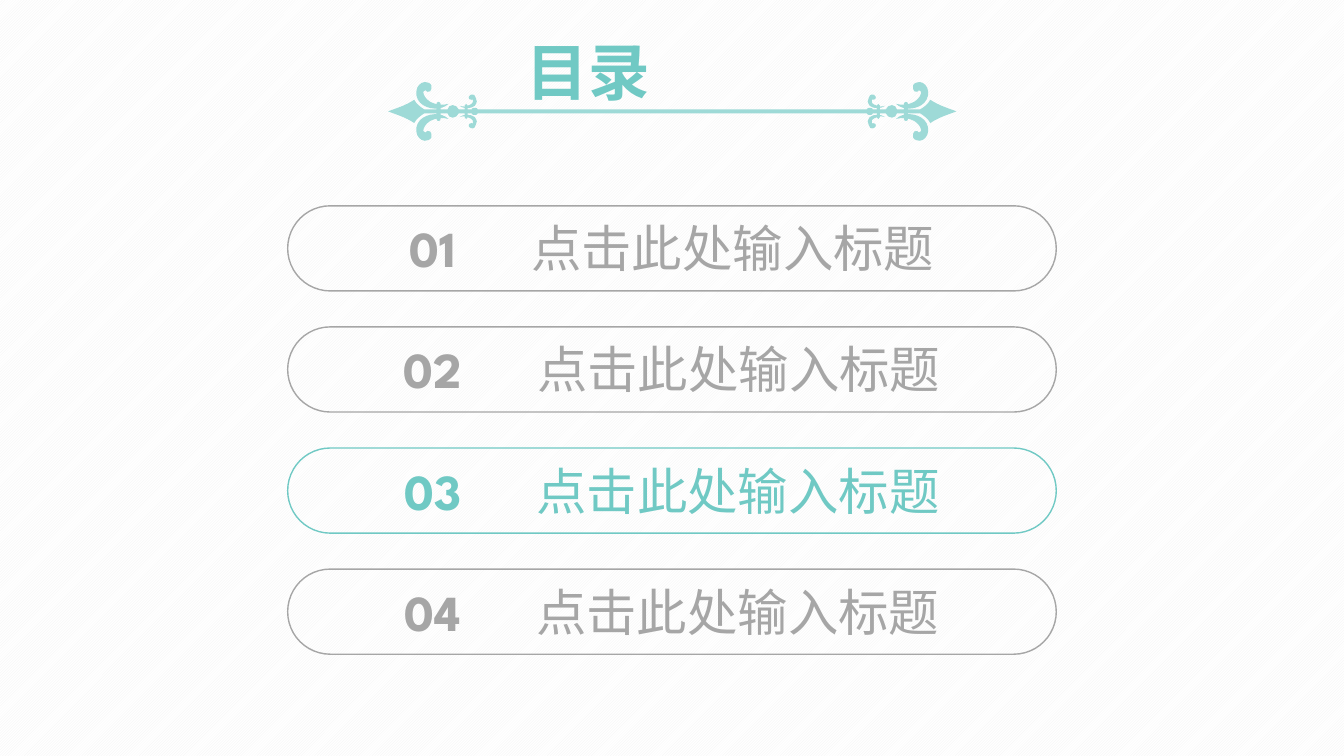
from lxml import etree
from pptx import Presentation
from pptx import util as u
from pptx.dml.color import RGBColor
from pptx.enum import dml, shapes, text
from pptx.oxml import ns

TEAL = RGBColor(0x70, 0xC9, 0xC4)
PALE_TEAL = RGBColor(0x9E, 0xDA, 0xD7)
GREY = RGBColor(0xA6, 0xA6, 0xA6)
STRIPE = RGBColor(0xF2, 0xF2, 0xF2)
WHITE = RGBColor(0xFF, 0xFF, 0xFF)

BODY_FONT = "Calibri"
NUMBER_FONT = "League Spartan"
ACTIVE_ROW = 2
ROWS = [(f"{number:02}", "点击此处输入标题") for number in range(1, 5)]

LARGE_CURL = [
    (28.1, 14), (27.4, 15.5), (25.9, 15.5), (25.2, 14),
    (25.2, 11.9), (26.6, 9), (30.2, 6.8),
    (34.6, 4.7), (38.2, 4), (43.2, 5.4),
    (38.2, 0.4), (28.1, 1.1), (23, 6.1),
    (20.2, 9), (19.4, 13.3), (20.9, 16.9),
    (22.3, 19.8), (25.2, 22), (28.8, 20.5),
    (31, 19.8), (31.7, 17.6), (31, 16.2),
    (31, 14.8), (29.5, 13.3), (28.1, 14),
]
SMALL_CURL = [
    (59.8, 8.3), (59.8, 9), (60.5, 9), (60.5, 8.3),
    (61.2, 7.6), (60.5, 5.4), (58.3, 4.7),
    (56.2, 3.2), (54, 3.2), (51.1, 4),
    (54, 1.8), (59, 1.8), (61.9, 4),
    (63.4, 6.1), (64.1, 8.3), (62.6, 9.7),
    (62.6, 11.2), (61.2, 12.6), (59, 11.9),
    (57.6, 11.2), (57.6, 10.4), (57.6, 9.7),
    (57.6, 9), (58.3, 8.3), (59.8, 8.3),
]
SPINDLE = [
    (0, 0), (6.5, 2.5), (12.2, 4), (18.7, 8.3),
    (20.2, 5.4), (23, 3.2), (25.9, 1.4),
    (29.5, 1.4), (38.2, 1.4), (42.5, 1.4),
    (42.5, 3.2), (44.6, 4.5), (46.1, 4.5),
    (48.2, 4.5), (49.7, 3.2), (50.4, 1.4),
    (53.3, 1.4), (56.9, 1.4), (59.8, 1.4),
    (59.8, 2.5), (60.5, 2.5), (61.9, 2.5),
    (62.6, 2.5), (64.1, 2.5), (64.1, 1.4),
]
BARS = [(34.6, 37.5, 5.4, 7.3), (54.7, 56.9, 4.2, 5.8)]


def bar_outline(left, right, side, cap):
    """Return the curve controls of an upright bar with round ends."""
    return [(left, -side), (left, -side), (left, side), (left, side),
            (left, cap), (right, cap), (right, side),
            (right, side), (right, -side), (right, -side),
            (right, -cap), (left, -cap), (left, -side)]


def add_curves(page, contours):
    """Draw closed cubic contours, given in points, as one filled shape."""
    builder = None
    for contour in contours:
        start, *others = [(u.Pt(x), u.Pt(y)) for x, y in contour]
        if builder is None:
            builder = page.shapes.build_freeform(*start)
        else:
            builder.move_to(*start)
        builder.add_line_segments(others, close=True)
    shape = builder.convert_to_shape()
    lines = list(shape._element.iter(ns.qn("a:lnTo")))
    for first in range(0, len(lines), 3):
        curve = etree.Element(ns.qn("a:cubicBezTo"))
        lines[first].addprevious(curve)
        for line in lines[first:first + 3]:
            curve.append(line[0])
            line.getparent().remove(line)
    shape.shadow.inherit = False
    shape.fill.solid()
    shape.fill.fore_color.rgb = PALE_TEAL
    shape.line.fill.background()


def add_ornament(page, box):
    """Draw the mirrored fleur ornament inside the box."""
    left, top, width, height = box
    axis = top + height / 2

    def place(points, flip_x, flip_y):
        return [(left + (width - x if flip_x else x), axis + (y if flip_y else -y))
                for x, y in points]

    def span_width(flip_y):
        near, far = place(SPINDLE, False, flip_y), place(SPINDLE, True, flip_y)
        return near + [near[-1], far[-1]] + far[::-1]

    add_curves(page, [span_width(False) + span_width(True)[-2::-1]])
    for flip_x in (False, True):
        for curl in (LARGE_CURL, SMALL_CURL):
            add_curves(page, [place(curl, flip_x, flip_y) for flip_y in (False, True)])
        for bar in BARS:
            add_curves(page, [place(bar_outline(*bar), flip_x, False)])


def format_span(span, font, size, color, bold):
    """Set the font of one run."""
    span.font.name = font
    span.font.size = u.Pt(size)
    span.font.color.rgb = color
    span.font.bold = bold


def add_title(page, box):
    """Fill the title placeholder and move it to the box."""
    title = page.shapes.title
    title.left, title.top, title.width, title.height = map(u.Pt, box)
    frame = title.text_frame
    frame.text = "目录"
    frame.auto_size = text.MSO_AUTO_SIZE.SHAPE_TO_FIT_TEXT
    frame.vertical_anchor = text.MSO_ANCHOR.TOP
    para = frame.paragraphs[0]
    para.alignment = text.PP_ALIGN.JUSTIFY
    format_span(para.runs[0], BODY_FONT, 44, TEAL, True)


def add_row(page, box, number, label, color):
    """Draw one contents entry: a pill with its number and label."""
    left, top, width, height = box
    pill = page.shapes.add_shape(shapes.MSO_SHAPE.ROUNDED_RECTANGLE, *map(u.Pt, box))
    pill.adjustments[0] = 0.5
    pill.shadow.inherit = False
    pill.fill.background()
    pill.line.color.rgb = color
    pill.line.width = u.Pt(1)

    entry = page.shapes.add_textbox(
        u.Pt(left + 12), u.Pt(top + 4.8), u.Pt(width - 24), u.Pt(51))
    frame = entry.text_frame
    frame.word_wrap = True
    frame.auto_size = text.MSO_AUTO_SIZE.SHAPE_TO_FIT_TEXT
    para = frame.paragraphs[0]
    para.alignment = text.PP_ALIGN.CENTER
    for words, font, bold in (
            (number, NUMBER_FONT, True), (" ", NUMBER_FONT, True), (label, BODY_FONT, False)):
        span = para.add_run()
        span.text = words
        format_span(span, font, 36, color, bold)
    para.runs[1]._r.get_or_add_rPr().set("spc", "4400")


def add_contents(page, box):
    """Stack the contents entries evenly in the box."""
    left, top, width, height = box
    row_height = 60.8
    pitch = (height - row_height) / (len(ROWS) - 1)
    for index, (number, label) in enumerate(ROWS):
        color = TEAL if index == ACTIVE_ROW else GREY
        add_row(page, (left, top + index * pitch, width, row_height), number, label, color)


def main():
    """Build the contents slide and save it."""
    deck = Presentation()
    deck.slide_width, deck.slide_height = u.Pt(960), u.Pt(540)
    page = deck.slides.add_slide(deck.slide_layouts[5])
    backdrop = page.background.fill
    backdrop.patterned()
    backdrop.pattern = dml.MSO_PATTERN.DARK_UPWARD_DIAGONAL
    backdrop.fore_color.rgb = STRIPE
    backdrop.back_color.rgb = WHITE
    add_title(page, (369, 20.5, 221.8, 60.5))
    add_ornament(page, (277.2, 57.6, 406, 44))
    add_contents(page, (205.5, 147, 549, 320.3))
    deck.save("out.pptx")


if __name__ == "__main__":
    main()
